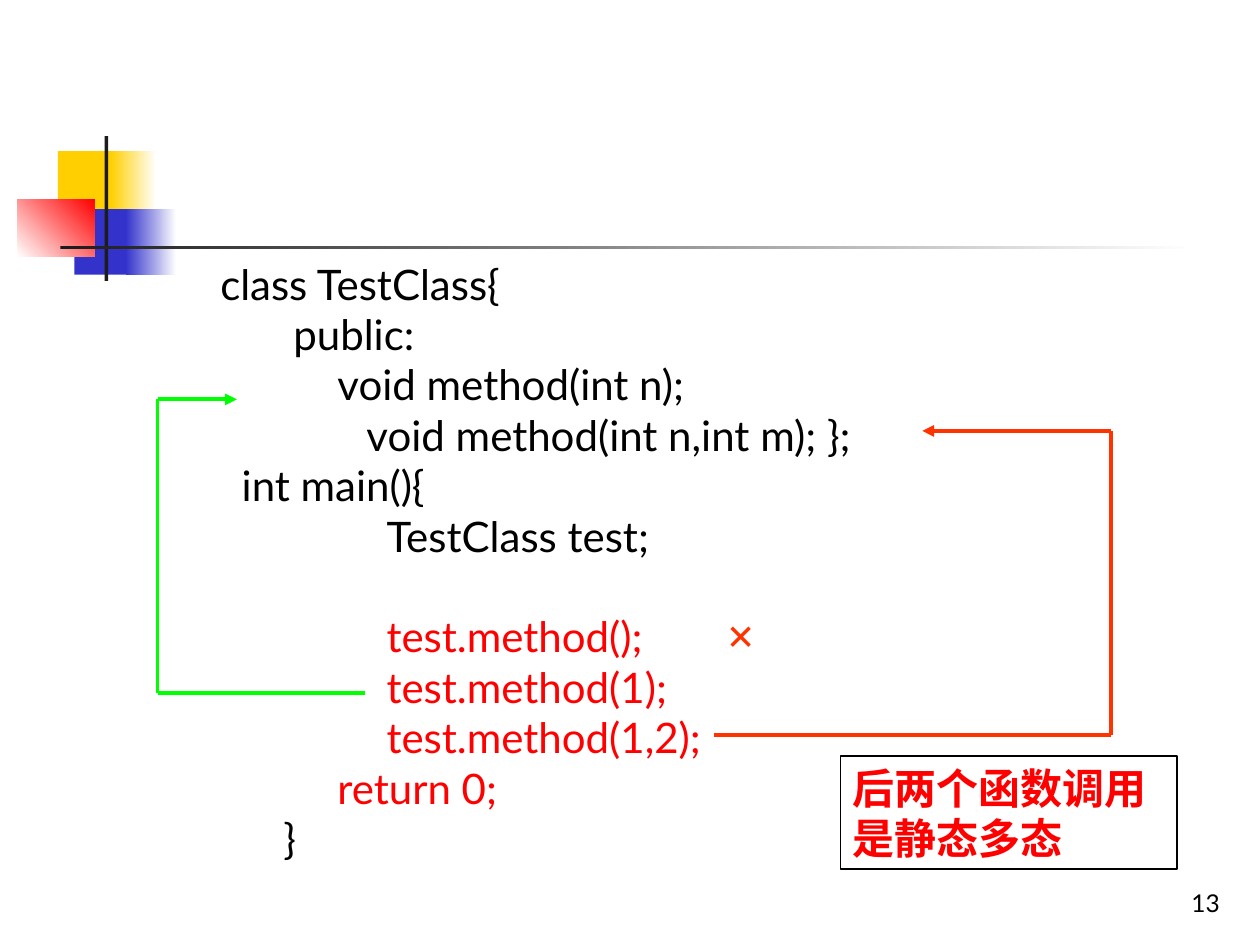
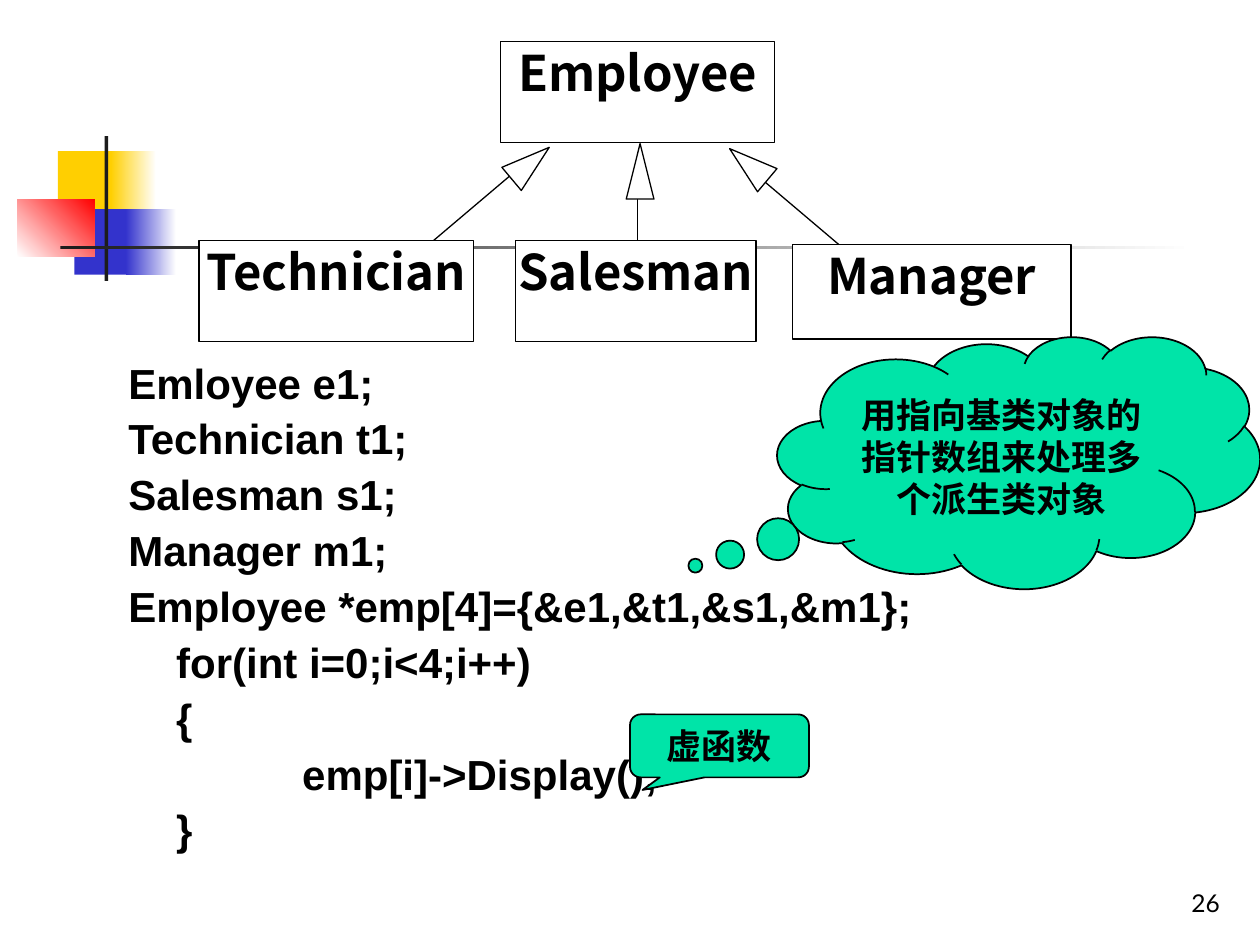
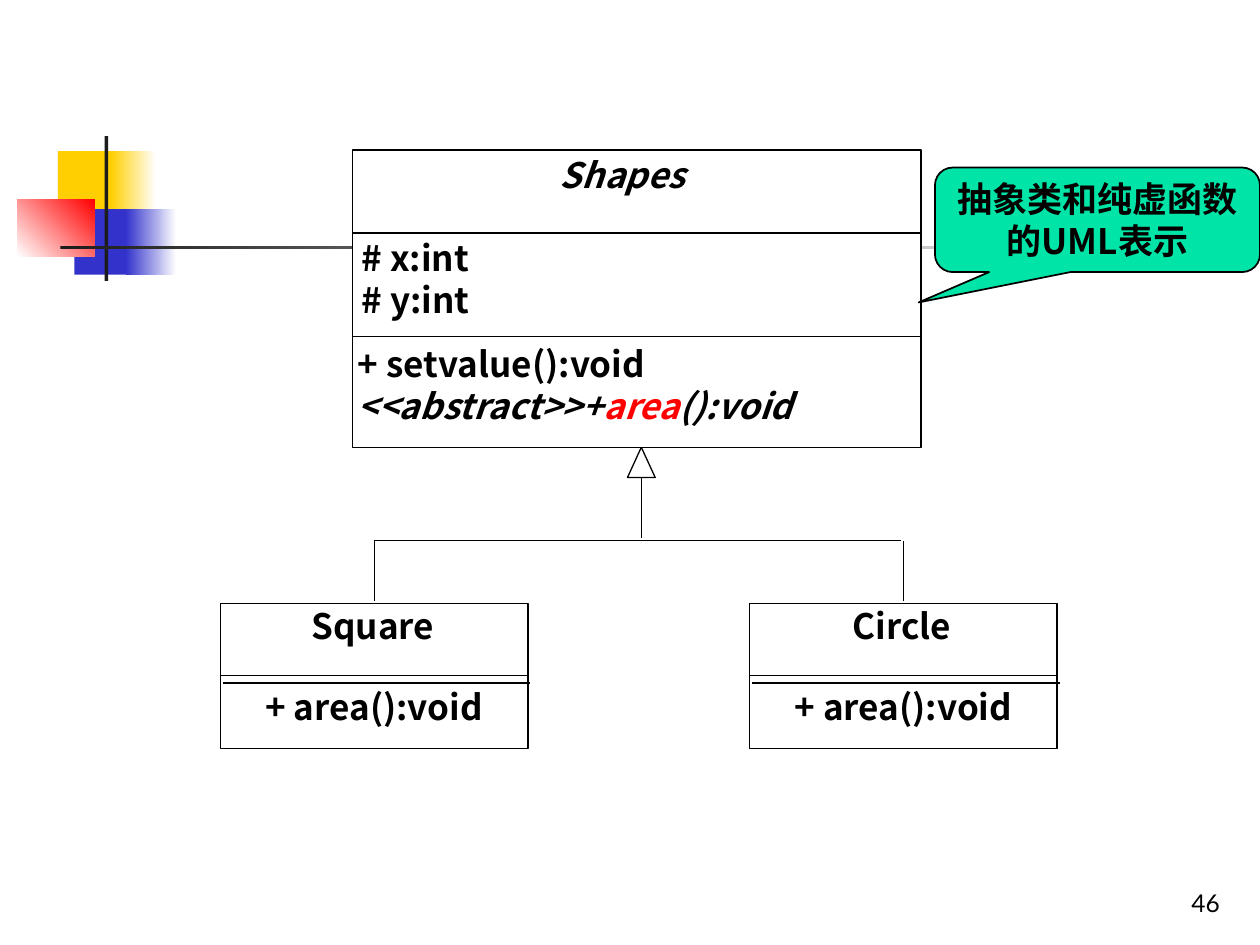
from itertools import pairwise

from lxml.etree import SubElement
from pptx import Presentation
from pptx.dml.color import RGBColor
from pptx.enum.shapes import MSO_CONNECTOR, MSO_SHAPE
from pptx.enum.text import MSO_ANCHOR, PP_ALIGN
from pptx.oxml.ns import qn
from pptx.util import Inches, Pt

BLACK = "000000"
WHITE = "FFFFFF"
RED = "FF0000"
ORANGE = "FF3300"
GREEN = "00FF00"
MINT = "00E4A8"
YELLOW = "FFCF01"
BLUE = "3333CC"
CHARCOAL = "1C1C1C"
BODY_FONT = "Lato"
UML_FONT = "Noto Sans CJK SC"
CODE_FONT = "Arial"


def color(hex_value):
    return RGBColor.from_string(hex_value)


def style_font(font, name, size, hex_value=BLACK, bold=False, italic=False):
    font.name = name
    font.size = Pt(size)
    font.bold = bold
    font.italic = italic
    font.color.rgb = color(hex_value)


def prepare_frame(shape, insets=(0.1, 0.05), anchor=MSO_ANCHOR.TOP):
    frame = shape.text_frame
    frame.word_wrap = True
    frame.vertical_anchor = anchor
    frame.margin_left = frame.margin_right = Inches(insets[0])
    frame.margin_top = frame.margin_bottom = Inches(insets[1])
    return frame


def write_lines(frame, lines, align=PP_ALIGN.LEFT, **font):
    frame.text = "\n".join(lines)
    for paragraph in frame.paragraphs:
        paragraph.alignment = align
        style_font(paragraph.font, **font)
    return frame.paragraphs


def add_text(slide, box, lines, align=PP_ALIGN.LEFT, anchor=MSO_ANCHOR.TOP, **font):
    shape = slide.shapes.add_textbox(*map(Inches, box))
    return write_lines(prepare_frame(shape, anchor=anchor), lines, align, **font)


def indent(paragraph, left):
    properties = paragraph._p.get_or_add_pPr()
    properties.set("marL", str(Inches(left)))
    properties.set("indent", "0")


def add_figure(slide, kind, box, fill=WHITE, line=BLACK, width=0.75):
    shape = slide.shapes.add_shape(kind, *map(Inches, box))
    shape.shadow.inherit = False
    if fill:
        shape.fill.solid()
        shape.fill.fore_color.rgb = color(fill)
    else:
        shape.fill.background()
    if line:
        shape.line.color.rgb = color(line)
        shape.line.width = Pt(width)
    else:
        shape.line.fill.background()
    return shape


def add_fade(slide, box, start, end, angle=0):
    shape = add_figure(slide, MSO_SHAPE.RECTANGLE, box, line=None)
    shape.fill.gradient()
    shape.fill.gradient_angle = angle
    for stop, hex_value in zip(shape.fill.gradient_stops, (start, end)):
        stop.color.rgb = color(hex_value)


def add_line(slide, start, end, hex_value=BLACK, width=0.75, arrow=False):
    connector = slide.shapes.add_connector(
        MSO_CONNECTOR.STRAIGHT, *map(Inches, (*start, *end)))
    connector.line.color.rgb = color(hex_value)
    connector.line.width = Pt(width)
    if arrow:
        SubElement(connector.line._get_or_add_ln(), qn("a:tailEnd"), type="triangle")
    SubElement(connector._element.spPr, qn("a:effectLst"))


def add_route(slide, points, hex_value):
    for start, end in pairwise(points):
        add_line(slide, start, end, hex_value, 2.25, arrow=end == points[-1])


def add_triangle(slide, box, rotation=0):
    triangle = add_figure(slide, MSO_SHAPE.ISOSCELES_TRIANGLE, box)
    triangle.rotation = rotation


def add_callout(slide, kind, box, tip, text, font_name=BODY_FONT):
    callout = add_figure(slide, kind, box, MINT, width=1)
    for index, value in enumerate(tip):
        callout.adjustments[index] = value
    frame = prepare_frame(callout, anchor=MSO_ANCHOR.MIDDLE)
    write_lines(frame, [text], PP_ALIGN.CENTER, name=font_name, size=20, bold=True)


def add_class_name_box(slide, box, name):
    shape = add_figure(slide, MSO_SHAPE.RECTANGLE, box)
    frame = prepare_frame(shape, insets=(0.02, 0.01))
    write_lines(frame, [name], PP_ALIGN.CENTER, name=UML_FONT, size=28, bold=True)


def add_uml_text(slide, box, lines, align=PP_ALIGN.CENTER, italic=False):
    return add_text(slide, box, lines, align,
                    name=UML_FONT, size=20, bold=True, italic=italic)


def add_derived_class(slide, left, name):
    add_figure(slide, MSO_SHAPE.RECTANGLE, (left, 4.79, 2.44, 1.15))
    add_uml_text(slide, (left + 0.31, 4.75, 1.8, 0.71), [name])
    add_uml_text(slide, (left, 5.39, 2.44, 0.69), ["+ area():void"])
    for offset, top in ((0, 5.36), (0.02, 5.42)):
        add_line(slide, (left + offset, top), (left + offset + 2.44, top))
    add_line(slide, (left + 1.22, 4.29), (left + 1.22, 4.77))


def add_base_slide(presentation, number):
    slide = presentation.slides.add_slide(presentation.slide_layouts[6])
    add_figure(slide, MSO_SHAPE.RECTANGLE, (0.46, 1.2, 0.48, 0.52), YELLOW, None)
    add_fade(slide, (0.88, 1.2, 0.36, 0.52), YELLOW, WHITE)
    add_figure(slide, MSO_SHAPE.RECTANGLE, (0.59, 1.66, 0.46, 0.52), BLUE, None)
    add_fade(slide, (1, 1.66, 0.4, 0.52), BLUE, WHITE)
    add_fade(slide, (0.14, 1.58, 0.61, 0.46), WHITE, RED, 45)
    add_figure(slide, MSO_SHAPE.RECTANGLE, (0.83, 1.08, 0.03, 1.15), CHARCOAL, None)
    add_fade(slide, (0.48, 1.95, 9, 0.03), CHARCOAL, WHITE)
    add_text(slide, (7.7, 6.83, 2.08, 0.5), [str(number)], PP_ALIGN.RIGHT,
             MSO_ANCHOR.BOTTOM, name=BODY_FONT, size=14)
    return slide


def build_overloading_slide(presentation):
    slide = add_base_slide(presentation, 13)
    code = [
        ("class TestClass{", 0.68, BLACK),
        ("public:", 1.26, BLACK),
        ("void method(int n);", 1.61, BLACK),
        ("void method(int n,int m); };", 1.84, BLACK),
        ("int main(){", 0.85, BLACK),
        ("TestClass test;", 2, BLACK),
        ("test.method();", 2, RED),
        ("test.method(1);", 2, RED),
        ("test.method(1,2);", 2, RED),
        ("return 0;", 1.61, RED),
        ("}", 1.18, BLACK),
    ]
    paragraphs = add_text(slide, (0.97, 2, 6.24, 4.9), [line for line, _, _ in code],
                          name=BODY_FONT, size=24)
    for paragraph, (line, left, hex_value) in zip(paragraphs, code):
        indent(paragraph, left)
        paragraph.font.color.rgb = color(hex_value)
        if line == "test.method();":
            paragraph.space_before = Pt(28.8)
    add_text(slide, (5.67, 4.75, 0.41, 0.57), ["×"],
             name="Times New Roman", size=28, hex_value=ORANGE, bold=True)
    add_route(slide, [(2.9, 5.5), (1.25, 5.5), (1.25, 3.17), (1.88, 3.17)], GREEN)
    add_route(slide, [(5.67, 5.83), (8.82, 5.83), (8.82, 3.42), (7.32, 3.42)], ORANGE)
    remark = add_figure(slide, MSO_SHAPE.RECTANGLE, (6.67, 6, 2.67, 0.9), None, width=1)
    write_lines(prepare_frame(remark), ["后两个函数调用是静态多态"],
                name=BODY_FONT, size=24, hex_value=RED, bold=True)


def build_pointer_array_slide(presentation):
    slide = add_base_slide(presentation, 26)
    inheritance = [
        ((4.16, 1.3), (3.44, 1.91), (4.09, 1.1, 0.24, 0.39), 50),
        ((5.96, 1.35), (6.68, 1.96), (5.82, 1.11, 0.24, 0.39), 310),
        ((5.06, 1.4), (5.06, 2.47), (4.97, 1.14, 0.22, 0.44), 0),
    ]
    for start, end, head, rotation in inheritance:
        add_line(slide, start, end)
        add_triangle(slide, head, rotation)
    class_boxes = {
        "Employee": (3.97, 0.33, 2.18, 0.8),
        "Salesman": (4.09, 1.91, 1.91, 0.8),
        "Manager": (6.29, 1.94, 2.21, 0.75),
        "Technician": (1.58, 1.91, 2.18, 0.8),
    }
    for name, box in class_boxes.items():
        add_class_name_box(slide, box, name)
    code = [
        ("Emloyee e1;", 0),
        ("Technician t1;", 0),
        ("Salesman s1;", 0),
        ("Manager m1;", 0),
        ("Employee *emp[4]={&e1,&t1,&s1,&m1};", 0),
        ("for(int i=0;i<4;i++)", 0.38),
        ("{", 0.38),
        ("emp[i]->Display();", 1.38),
        ("}", 0.38),
    ]
    paragraphs = add_text(slide, (0.92, 2.83, 8.25, 4.5), [line for line, _ in code],
                          name=CODE_FONT, size=24, bold=True)
    for paragraph, (_, left) in zip(paragraphs, code):
        indent(paragraph, left)
        paragraph.line_spacing = 0.9
        paragraph.space_before = Pt(6)
    add_callout(slide, MSO_SHAPE.CLOUD_CALLOUT, (6.17, 2.67, 3.83, 2), (-0.67, 0.41),
                "用指向基类对象的指针数组来处理多个派生类对象")
    add_callout(slide, MSO_SHAPE.ROUNDED_RECTANGULAR_CALLOUT, (5, 5.67, 1.42, 0.5),
                (-0.43, 0.7, 0.17), "虚函数")


def build_abstract_class_slide(presentation):
    slide = add_base_slide(presentation, 46)
    add_triangle(slide, (4.98, 3.55, 0.22, 0.24))
    add_line(slide, (5.09, 3.79), (5.09, 4.27))
    add_figure(slide, MSO_SHAPE.RECTANGLE, (2.8, 1.19, 4.51, 2.36))
    add_uml_text(slide, (3.98, 1.17, 1.92, 0.71), ["Shapes"], italic=True)
    add_uml_text(slide, (2.77, 1.83, 2.09, 0.84), ["# x:int", "# y:int"],
                 PP_ALIGN.JUSTIFY)
    _, abstract = add_uml_text(slide, (2.74, 2.67, 4.68, 0.98),
                               ["+ setvalue():void", "<<abstract>>+"],
                               PP_ALIGN.JUSTIFY)
    abstract.font.italic = True
    area = abstract.add_run()
    area.text = "area"
    area.font.color.rgb = color(RED)
    abstract.add_run().text = "():void"
    for top in (2.67, 1.85):
        add_line(slide, (2.8, top), (7.31, top))
    add_derived_class(slide, 1.75, "Square")
    add_derived_class(slide, 5.95, "Circle")
    add_line(slide, (2.97, 4.29), (7.15, 4.29))
    add_callout(slide, MSO_SHAPE.ROUNDED_RECTANGULAR_CALLOUT, (7.42, 1.33, 2.58, 0.83),
                (-0.55, 0.79, 0.17), "抽象类和纯虚函数的UML表示", UML_FONT)


def main():
    presentation = Presentation()
    presentation.slide_width = Inches(10)
    presentation.slide_height = Inches(7.5)
    build_overloading_slide(presentation)
    build_pointer_array_slide(presentation)
    build_abstract_class_slide(presentation)
    presentation.save("out.pptx")


if __name__ == "__main__":
    main()
